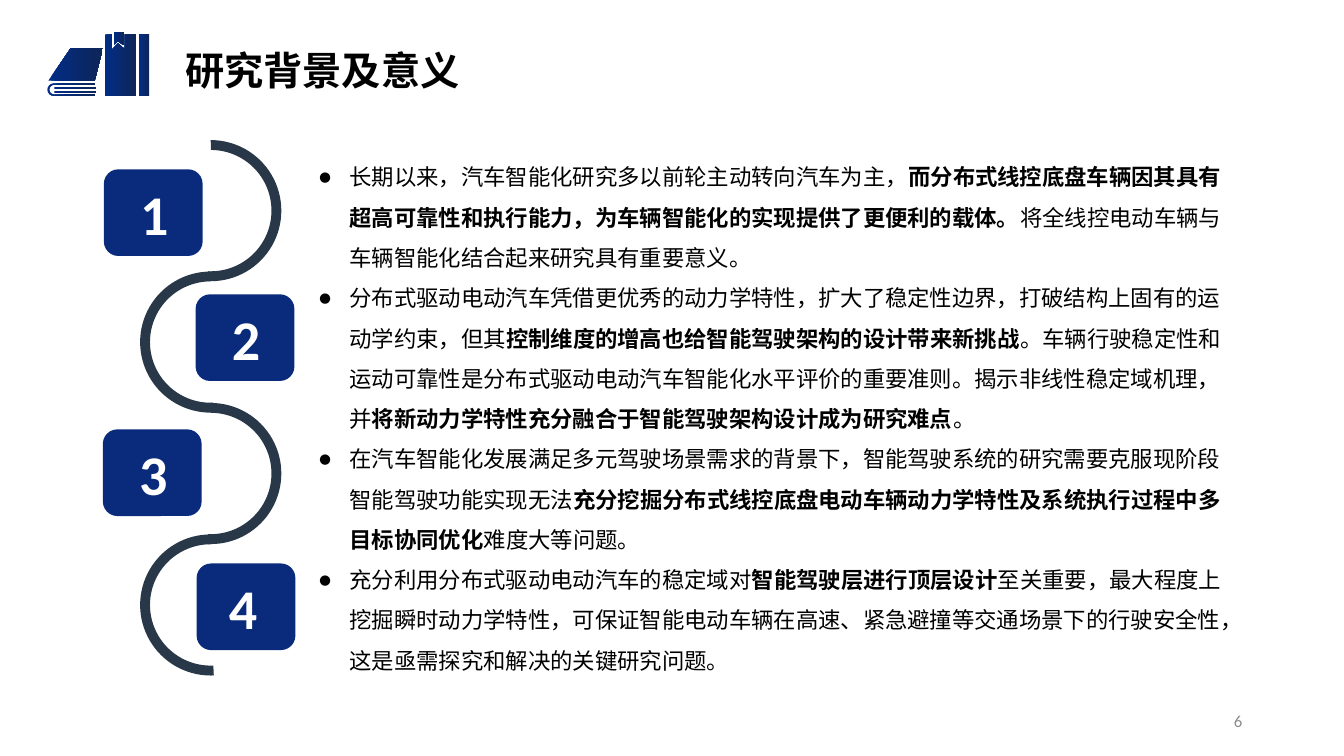
from math import cos, pi, sin

from lxml.etree import SubElement
from pptx import Presentation
from pptx.dml.color import RGBColor
from pptx.enum.shapes import MSO_SHAPE
from pptx.enum.text import MSO_ANCHOR, MSO_AUTO_SIZE, PP_ALIGN
from pptx.oxml.ns import qn
from pptx.util import Inches, Pt

COLORS = {
    "book_light": "012D86",
    "book_dark": "0E2557",
    "curve": "283848",
    "badge": "0A2B7C",
    "text": "000000",
    "number": "FFFFFF",
    "page": "8C8C8C",
}
CJK = "Noto Sans CJK SC"
LATIN = "Calibri"


class BackgroundSlide:
    def __init__(self, slide):
        self.shapes = slide.shapes

    def color(self, name):
        return RGBColor.from_string(COLORS[name])

    def book_fill(self, shape):
        shape.shadow.inherit = False
        shape.line.fill.background()
        shape.fill.gradient()
        shape.fill.gradient_angle = 0
        for stop, name in zip(shape.fill.gradient_stops, ("book_light", "book_dark")):
            stop.color.rgb = self.color(name)

    def preset(self, kind, left, top, width, height):
        return self.shapes.add_shape(
            kind, Inches(left), Inches(top), Inches(width), Inches(height))

    def solid(self, kind, box, color):
        shape = self.preset(kind, *box)
        shape.shadow.inherit = False
        shape.fill.solid()
        shape.fill.fore_color.rgb = self.color(color)
        shape.line.fill.background()
        return shape

    def book_bar(self, *box):
        self.book_fill(self.preset(MSO_SHAPE.RECTANGLE, *box))

    def book_outline(self, points):
        corners = [(Inches(x), Inches(y)) for x, y in points]
        builder = self.shapes.build_freeform(*corners[0])
        builder.add_line_segments(corners[1:], close=True)
        self.book_fill(builder.convert_to_shape())

    def half_ring(self, top, opens_left):
        ring = self.solid(MSO_SHAPE.BLOCK_ARC, (1.39, top, 1.4, 1.4), "curve")
        for index, value in enumerate((108, 1.5, 0.07)):
            ring.adjustments[index] = value
        ring.rotation = 90 if opens_left else 270
        if not opens_left:
            ring._element.spPr.get_or_add_xfrm().set("flipH", "1")

    def text_frame(self, left, top, width, height, wrap=True, anchor=MSO_ANCHOR.TOP):
        frame = self.shapes.add_textbox(
            Inches(left), Inches(top), Inches(width), Inches(height)).text_frame
        frame.word_wrap = wrap
        frame.vertical_anchor = anchor
        return frame

    def run(self, paragraph, text, size, color="text", bold=False, face=CJK):
        run = paragraph.add_run()
        run.text = text
        font = run.font
        font.size, font.bold, font.name = Pt(size), bold, face
        font.color.rgb = self.color(color)
        SubElement(font._element, qn("a:ea")).set("typeface", face)

    def title(self, text):
        frame = self.text_frame(1.74, 0.41, 6.67, 0.57)
        frame.auto_size = MSO_AUTO_SIZE.SHAPE_TO_FIT_TEXT
        self.run(frame.paragraphs[0], text, 28, bold=True)

    def page_number(self, text):
        frame = self.text_frame(9.42, 6.95, 3, 0.4, anchor=MSO_ANCHOR.MIDDLE)
        frame.paragraphs[0].alignment = PP_ALIGN.RIGHT
        self.run(frame.paragraphs[0], text, 12, "page", face=LATIN)

    def badge(self, number, left, top, label_left):
        self.solid(MSO_SHAPE.ROUNDED_RECTANGLE, (left, top, 0.98, 0.86), "badge")
        frame = self.text_frame(
            label_left, top + 0.26, 0.64, 0.34, wrap=False, anchor=MSO_ANCHOR.MIDDLE)
        frame.margin_left = frame.margin_right = Inches(0.07)
        frame.margin_top = frame.margin_bottom = Inches(0.04)
        frame.paragraphs[0].alignment = PP_ALIGN.CENTER
        self.run(frame.paragraphs[0], str(number), 40, "number", True, LATIN)

    def bullets(self, points):
        frame = self.text_frame(3.06, 1.44, 9.36, 5.3)
        frame.auto_size = MSO_AUTO_SIZE.SHAPE_TO_FIT_TEXT
        for index, phrases in enumerate(points):
            paragraph = frame.add_paragraph() if index else frame.paragraphs[0]
            paragraph.line_spacing = 1.5
            properties = paragraph._p.get_or_add_pPr()
            properties.set("marL", str(Inches(0.31)))
            properties.set("indent", str(-Inches(0.31)))
            SubElement(properties, qn("a:buFont")).set("typeface", LATIN)
            SubElement(properties, qn("a:buChar")).set("char", "●")
            for position, phrase in enumerate(phrases):
                self.run(paragraph, phrase, 16, bold=position % 2 == 1)


def arc_points(x, y, radius, start, end, steps=8):
    angles = (start + (end - start) * step / steps for step in range(steps + 1))
    return [(x + radius * cos(angle), y - radius * sin(angle)) for angle in angles]


POINTS = [
    ["长期以来，汽车智能化研究多以前轮主动转向汽车为主，",
     "而分布式线控底盘车辆因其具有超高可靠性和执行能力，为车辆智能化的实现提供了更便利的载体。",
     "将全线控电动车辆与车辆智能化结合起来研究具有重要意义。"],
    ["分布式驱动电动汽车凭借更优秀的动力学特性，扩大了稳定性边界，打破结构上固有的运动学约束，但其",
     "控制维度的增高也给智能驾驶架构的设计带来新挑战",
     "。车辆行驶稳定性和运动可靠性是分布式驱动电动汽车智能化水平评价的重要准则。揭示非线性稳定域机理，并",
     "将新动力学特性充分融合于智能驾驶架构设计成为研究难点",
     "。"],
    ["在汽车智能化发展满足多元驾驶场景需求的背景下，智能驾驶系统的研究需要克服现阶段智能驾驶功能实现无法",
     "充分挖掘分布式线控底盘电动车辆动力学特性及系统执行过程中多目标协同优化",
     "难度大等问题。"],
    ["充分利用分布式驱动电动汽车的稳定域对",
     "智能驾驶层进行顶层设计",
     "至关重要，最大程度上挖掘瞬时动力学特性，可保证智能电动车辆在高速、紧急避撞等交通场景下的行驶安全性，"
     "这是亟需探究和解决的关键研究问题。"],
]
BADGES = [(1.03, 1.68, 1.21), (1.94, 2.92, 2.12), (1.02, 4.26, 1.2), (1.95, 5.59, 2.09)]
LYING_COVER = [(1.02, 0.48), (0.94, 0.8), (0.48, 0.8), (0.7, 0.48)]
STANDING_BOOK = [(1.35, 0.34), (1.35, 0.95), (1.04, 0.95), (1.04, 0.34), (1.11, 0.34),
                 (1.11, 0.49), (1.17, 0.43), (1.24, 0.49), (1.24, 0.34)]
PAGE_EDGE = [(0.94, 0.95), *arc_points(0.53, 0.89, 0.06, 3 * pi / 2, pi / 2),
             (0.94, 0.82), (0.94, 0.84),
             *arc_points(0.54, 0.89, 0.05, pi / 2, 3 * pi / 2), (0.94, 0.94)]
BOOKMARK = [(1.23, 0.32), (1.23, 0.45), (1.17, 0.41), (1.13, 0.45), (1.13, 0.32)]


def main():
    presentation = Presentation()
    presentation.slide_width, presentation.slide_height = Inches(13.33), Inches(7.5)
    page = BackgroundSlide(presentation.slides.add_slide(presentation.slide_layouts[6]))

    page.book_bar(1.38, 0.34, 0.1, 0.61)
    for outline in (LYING_COVER, STANDING_BOOK, PAGE_EDGE):
        page.book_outline(outline)
    for top in (0.86, 0.9):
        page.book_bar(0.54, top, 0.41, 0.02)
    page.book_outline(BOOKMARK)

    page.title("研究背景及意义")
    page.page_number("6")
    page.bullets(POINTS)
    for index in range(4):
        page.half_ring(1.39 + 1.304 * index, opens_left=index % 2 == 0)
    for number, (left, top, label_left) in enumerate(BADGES, start=1):
        page.badge(number, left, top, label_left)
    presentation.save("out.pptx")


if __name__ == "__main__":
    main()
